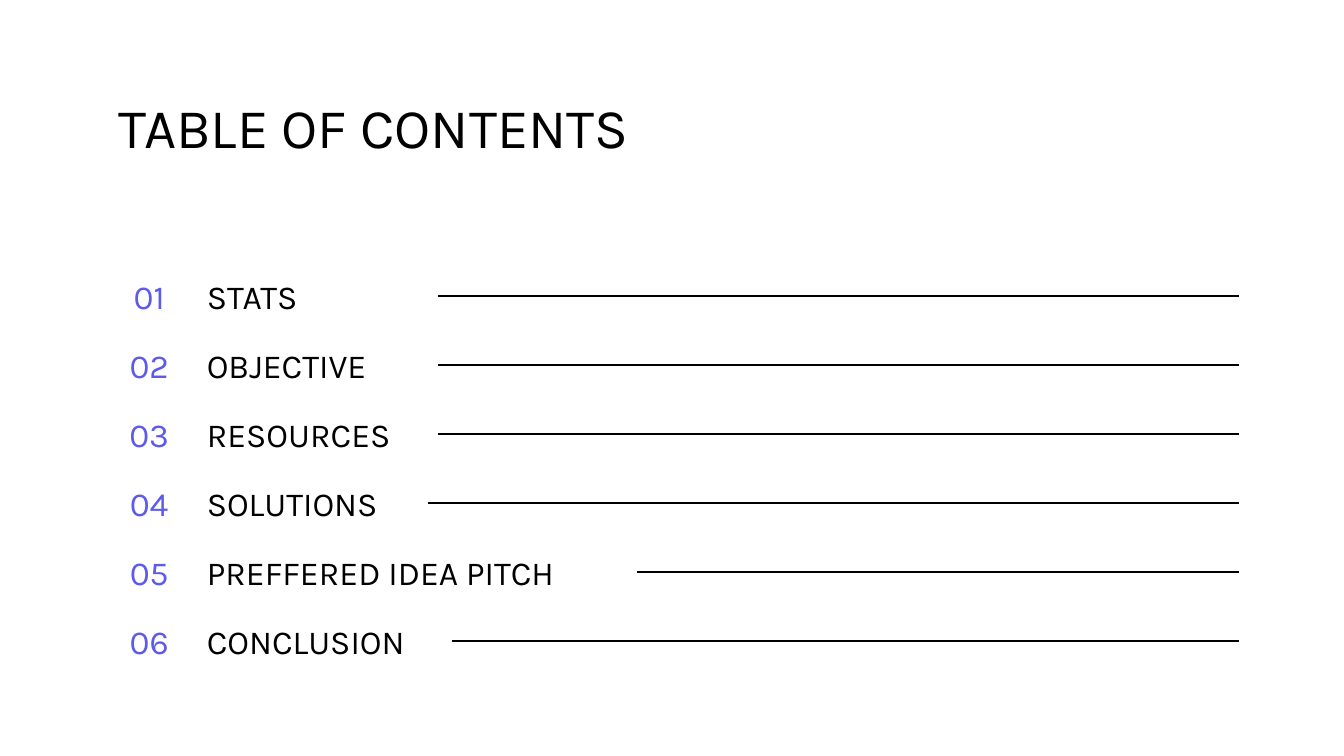
from pptx import Presentation
from pptx.dml.color import RGBColor
from pptx.enum.shapes import MSO_CONNECTOR
from pptx.enum.text import MSO_ANCHOR, MSO_AUTO_SIZE, PP_ALIGN
from pptx.oxml.ns import qn
from pptx.util import Pt

STRAIGHT = MSO_CONNECTOR.STRAIGHT
TOP, MIDDLE = MSO_ANCHOR.TOP, MSO_ANCHOR.MIDDLE
LEFT, CENTER = PP_ALIGN.LEFT, PP_ALIGN.CENTER
NO_AUTOFIT = MSO_AUTO_SIZE.NONE
RIGHT_SIDE = 3

BLACK = RGBColor(0x00, 0x00, 0x00)
VIOLET = RGBColor(0x5D, 0x5A, 0xEC)
FONT = "Karla"

MARGIN_LEFT = 56.2
CONTENT_RIGHT = 663.8
NUMBER_WIDTH = 47.5
LABEL_LEFT = MARGIN_LEFT + NUMBER_WIDTH
FIRST_ROW_TOP = 140.2
ROW_HEIGHT = 36.96

# Section label and the x at which its rule starts
SECTIONS = [
    ("STATS", 234.7),
    ("OBJECTIVE", 234.7),
    ("RESOURCES", 234.7),
    ("SOLUTIONS", 229.5),
    ("PREFFERED IDEA PITCH", 341.3),
    ("CONCLUSION", 242.2),
]


def format_text(shape, text, size, color, align, anchor):
    frame = shape.text_frame
    frame.text = text
    frame.word_wrap = True
    frame.auto_size = NO_AUTOFIT
    frame.vertical_anchor = anchor
    frame.margin_left = frame.margin_right = Pt(7.2)
    frame.margin_top = frame.margin_bottom = Pt(7.2)
    paragraph = frame.paragraphs[0]
    paragraph.alignment = align
    paragraph.font.name = FONT
    paragraph.font.size = Pt(size)
    paragraph.font.color.rgb = color


def set_title(slide, text):
    title = slide.shapes.title
    title.left, title.top = Pt(MARGIN_LEFT), Pt(42.5)
    title.width, title.height = Pt(CONTENT_RIGHT - MARGIN_LEFT), Pt(50.4)
    format_text(title, text, 30, BLACK, LEFT, TOP)


def add_row_text(slide, left, top, width, text, color, align):
    box = slide.shapes.add_textbox(Pt(left), Pt(top), Pt(width), Pt(ROW_HEIGHT))
    format_text(box, text, 18, color, align, MIDDLE)
    return box


def add_rule(slide, label, start, y):
    """Draw a rule from the right side of the label's box back to start."""
    rule = slide.shapes.add_connector(
        STRAIGHT, Pt(CONTENT_RIGHT), Pt(y), Pt(start), Pt(y))
    rule.begin_connect(label, RIGHT_SIDE)
    rule.end_y = rule.begin_y
    rule.line.color.rgb = BLACK
    rule.line.width = Pt(0.75)
    properties = rule._element.spPr
    properties.append(properties.makeelement(qn("a:effectLst"), {}))


def add_section(slide, number, name, rule_start):
    top = FIRST_ROW_TOP + (number - 1) * ROW_HEIGHT
    add_row_text(slide, MARGIN_LEFT, top, NUMBER_WIDTH,
                 f"{number:02d}", VIOLET, CENTER)
    label = add_row_text(slide, LABEL_LEFT, top, CONTENT_RIGHT - LABEL_LEFT,
                         name, BLACK, LEFT)
    add_rule(slide, label, rule_start, top + ROW_HEIGHT / 2)


def main():
    presentation = Presentation()
    presentation.slide_width, presentation.slide_height = Pt(720), Pt(405)
    title_only = presentation.slide_layouts[5]
    slide = presentation.slides.add_slide(title_only)
    set_title(slide, "TABLE OF CONTENTS")
    for number, (name, rule_start) in enumerate(SECTIONS, start=1):
        add_section(slide, number, name, rule_start)
    presentation.save("out.pptx")


if __name__ == "__main__":
    main()
